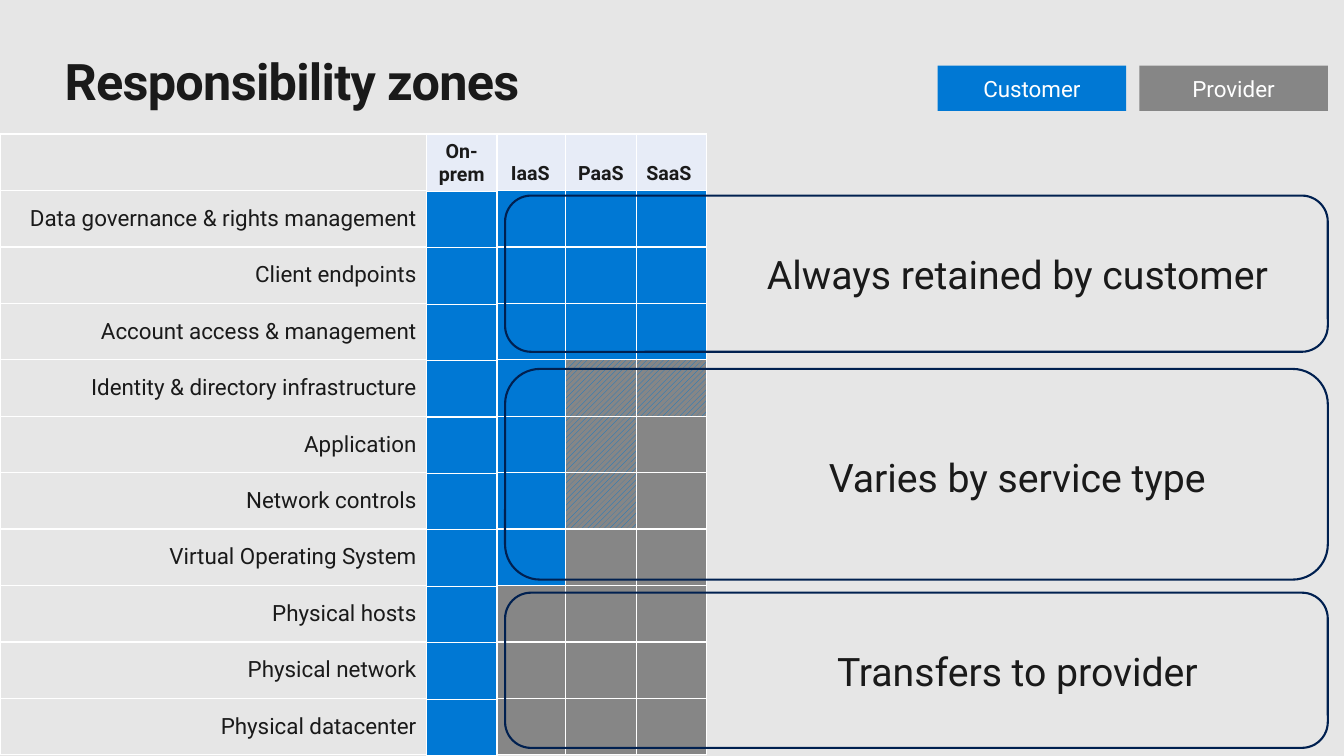
from lxml import etree
from pptx import Presentation
from pptx.dml.color import RGBColor
from pptx.enum.dml import MSO_PATTERN
from pptx.enum.shapes import MSO_SHAPE
from pptx.enum.text import MSO_ANCHOR, PP_ALIGN
from pptx.oxml.ns import qn
from pptx.util import Inches, Pt

RECTANGLE, ROUNDED = MSO_SHAPE.RECTANGLE, MSO_SHAPE.ROUNDED_RECTANGLE
STRIPES = MSO_PATTERN.WIDE_UPWARD_DIAGONAL
TOP, MIDDLE, BOTTOM = MSO_ANCHOR.TOP, MSO_ANCHOR.MIDDLE, MSO_ANCHOR.BOTTOM
LEFT, CENTER, RIGHT = PP_ALIGN.LEFT, PP_ALIGN.CENTER, PP_ALIGN.RIGHT

COLORS = {
    "background": "E6E6E6",
    "text": "1A1A1A",
    "white": "FFFFFF",
    "customer": "0078D4",
    "provider": "868686",
    "header": "E7ECF7",
    "outline": "002050",
}
FONT = "Roboto"
TABLE_TOP, ROW_HEIGHT = 1.33, 0.56
COLUMN_WIDTH = 0.7

RESPONSIBILITIES = [
    "Data governance & rights management",
    "Client endpoints",
    "Account access & management",
    "Identity & directory infrastructure",
    "Application",
    "Network controls",
    "Virtual Operating System",
    "Physical hosts",
    "Physical network",
    "Physical datacenter",
]
SERVICES = [
    ("PaaS", 5.61, CENTER, 3, 3),
    ("IaaS", 4.91, CENTER, 7, 0),
    ("SaaS", 6.31, LEFT, 3, 1),
    ("On-prem", 4.23, CENTER, 10, 0),
]
LEGEND = [("Customer", "customer", 9.3), ("Provider", "provider", 11.3)]
ZONES = [
    ("Always retained by customer", 1.94, 1.55, 2.48),
    ("Varies by service type", 3.66, 2.09, 4.5),
    ("Transfers to provider", 5.88, 1.54, 6.42),
]


def color(name):
    return RGBColor.from_string(COLORS[name])


def write_text(frame, text, size=16, ink="text", bold=False, align=LEFT, spacing=None):
    paragraph = frame.paragraphs[0]
    paragraph.alignment = align
    run = paragraph.add_run()
    run.text = text
    run.font.name = FONT
    run.font.size = Pt(size)
    run.font.bold = bold
    run.font.color.rgb = color(ink)
    if spacing is not None:
        run.font._element.set("spc", str(round(spacing * 100)))


class SlideBuilder:
    def __init__(self, presentation):
        self.slide = presentation.slides.add_slide(presentation.slide_layouts[6])
        fill = self.slide.background.fill
        fill.solid()
        fill.fore_color.rgb = color("background")

    def text(self, text, left, top, width, height, anchor=TOP, **style):
        box = self.slide.shapes.add_textbox(
            Inches(left), Inches(top), Inches(width), Inches(height))
        frame = box.text_frame
        frame.word_wrap = True
        frame.vertical_anchor = anchor
        frame.margin_left = frame.margin_right = 0
        frame.margin_top = frame.margin_bottom = 0
        write_text(frame, text, **style)

    def shape(self, kind, left, top, width, height, fill=None, line=None):
        shape = self.slide.shapes.add_shape(
            kind, Inches(left), Inches(top), Inches(width), Inches(height))
        shape.shadow.inherit = False
        if fill:
            shape.fill.solid()
            shape.fill.fore_color.rgb = color(fill)
        else:
            shape.fill.background()
        if line:
            shape.line.color.rgb = color(line)
            shape.line.width = Pt(1.5)
        else:
            shape.line.fill.background()
        return shape

    def legend_key(self, text, fill, left):
        shape = self.shape(RECTANGLE, left, 0.65, 1.87, 0.45, fill=fill)
        frame = shape.text_frame
        frame.margin_left = frame.margin_right = 0
        frame.vertical_anchor = MIDDLE
        write_text(frame, text, ink="white", align=CENTER)

    def column(self, left, width, fills):
        row_count = len(fills)
        table = self.slide.shapes.add_table(
            row_count, 1, Inches(left), Inches(TABLE_TOP),
            Inches(width), Inches(ROW_HEIGHT * row_count)).table
        table.first_row = table.horz_banding = False
        cells = [table.cell(row, 0) for row in range(row_count)]
        for cell, fill in zip(cells, fills):
            self.cell_fill(cell, fill)
            self.cell_borders(cell)
        return cells

    def cell_fill(self, cell, fill):
        if fill is None:
            cell.fill.background()
        elif fill == "shared":
            cell.fill.patterned()
            cell.fill.pattern = STRIPES
            cell.fill.fore_color.rgb = color("customer")
            cell.fill.back_color.rgb = color("provider")
        else:
            cell.fill.solid()
            cell.fill.fore_color.rgb = color(fill)

    def cell_borders(self, cell):
        properties = cell._tc.get_or_add_tcPr()
        for position, side in enumerate(("a:lnL", "a:lnR", "a:lnT", "a:lnB")):
            border = etree.Element(qn(side), w=str(Pt(1)))
            solid = etree.SubElement(border, qn("a:solidFill"))
            etree.SubElement(solid, qn("a:srgbClr"), val=COLORS["white"])
            properties.insert(position, border)


def main():
    presentation = Presentation()
    presentation.slide_width = Inches(13.33)
    presentation.slide_height = Inches(7.5)
    builder = SlideBuilder(presentation)

    builder.text("Responsibility zones", 0.64, 0.5, 12.05, 0.61,
                 size=36, bold=True, spacing=-0.5)

    row_count = len(RESPONSIBILITIES)
    label_cells = builder.column(0, 4.23, [None] * (row_count + 1))
    for cell, label in zip(label_cells[1:], RESPONSIBILITIES):
        cell.vertical_anchor = MIDDLE
        write_text(cell.text_frame, label, align=RIGHT)

    for name, left, align, customer, shared in SERVICES:
        provider = row_count - customer - shared
        fills = (["header"] + ["customer"] * customer
                 + ["shared"] * shared + ["provider"] * provider)
        header = builder.column(left, COLUMN_WIDTH, fills)[0]
        header.vertical_anchor = BOTTOM
        write_text(header.text_frame, name, size=14, bold=True, align=align)

    for name, fill, left in LEGEND:
        builder.legend_key(name, fill, left)

    for caption, top, height, caption_top in ZONES:
        builder.shape(ROUNDED, 5.01, top, 8.16, height, line="outline")
        builder.text(caption, 7.32, caption_top, 5.54, 0.47,
                     anchor=MIDDLE, size=28, align=CENTER)

    presentation.save("out.pptx")


if __name__ == "__main__":
    main()
